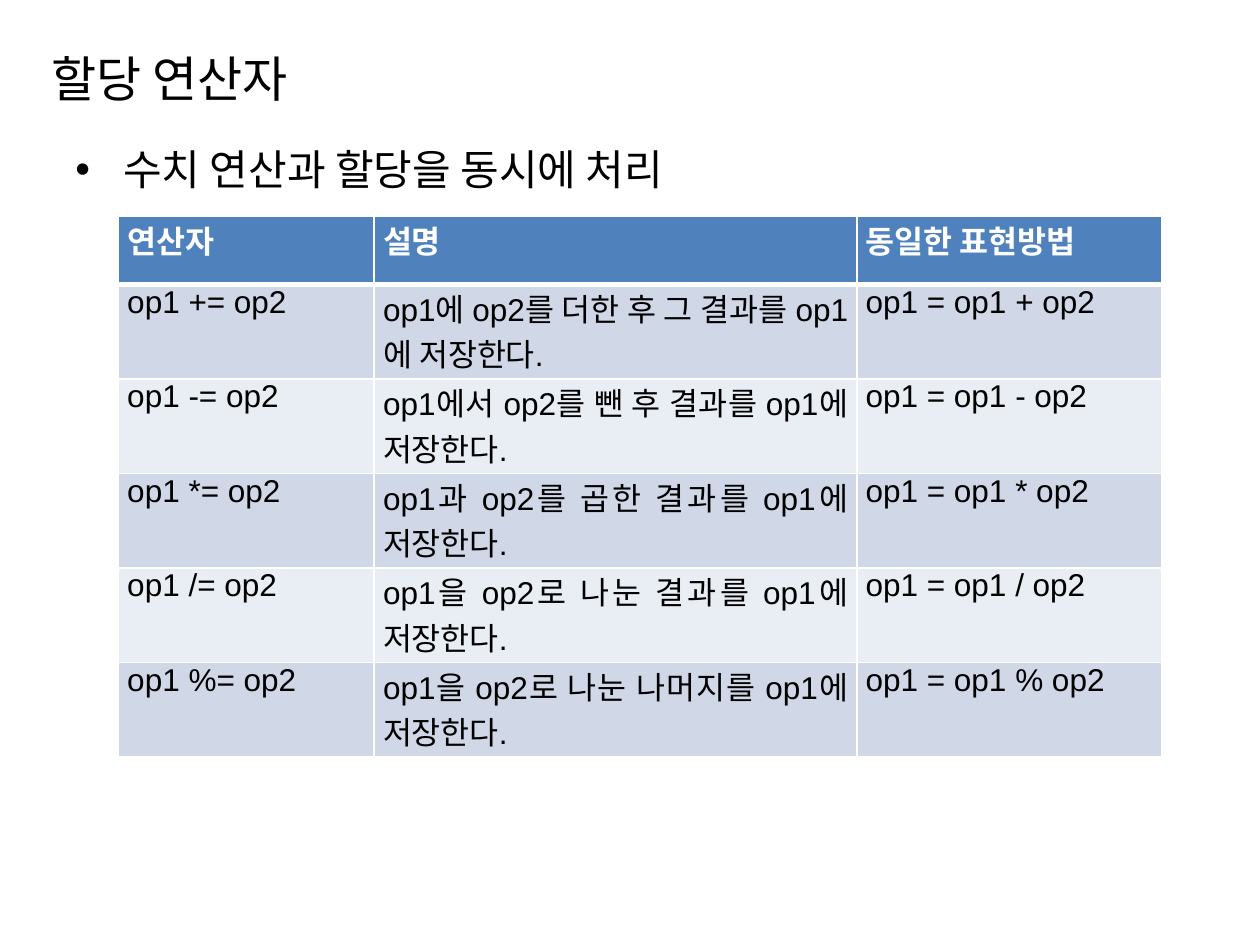
import pptx
import pptx.dml.color
import pptx.enum.text
import pptx.oxml
import pptx.oxml.ns
import pptx.util
from dataclasses import dataclass

Inches = pptx.util.Inches
Pt = pptx.util.Pt
ALIGN = pptx.enum.text.PP_ALIGN
ANCHOR = pptx.enum.text.MSO_ANCHOR


@dataclass(frozen=True)
class Theme:
    ink: str = "000000"
    white: str = "FFFFFF"
    header: str = "4F81BD"
    bands: tuple = ("D0D8E8", "E9EDF4")
    latin: str = "Arial"
    korean: str = "Noto Sans CJK KR"
    title: int = 28
    body: int = 24
    table: int = 18


def rgb(value):
    return pptx.dml.color.RGBColor.from_string(value)


def add_xml(parent, xml, index=None):
    tag, rest = xml.split(" ", 1)
    el = pptx.oxml.parse_xml(f"<a:{tag} {pptx.oxml.ns.nsdecls('a')} {rest}")
    parent.insert(len(parent) if index is None else index, el)


def apply(obj, values):
    for name, value in values.items():
        setattr(obj, name, value)


class SlideBuilder:
    def __init__(self, prs, theme):
        self.theme = theme
        self.s = prs.slides.add_slide(prs.slide_layouts[6])

    def run(self, p, text, size, color, latin, bold=False):
        r = p.add_run()
        r.text = text
        apply(r.font, {"size": Pt(size), "bold": bold, "name": latin})
        r.font.color.rgb = rgb(color)
        add_xml(r._r.get_or_add_rPr(), f'ea typeface="{self.theme.korean}"/>')

    def text(self, box, text, size, anchor, bullet=False):
        sp = self.s.shapes.add_textbox(*map(Inches, box))
        tf = sp.text_frame
        apply(tf, {"word_wrap": True, "vertical_anchor": anchor})
        p = tf.paragraphs[0]
        if bullet:
            pPr = p._p.get_or_add_pPr()
            pPr.set("marL", str(Inches(0.38)))
            pPr.set("indent", str(-Inches(0.38)))
            add_xml(pPr, f'buFont typeface="{self.theme.latin}"/>')
            add_xml(pPr, 'buChar char="•"/>')
        self.run(p, text, size, self.theme.ink, self.theme.korean)

    def borders(self, cell, bottom):
        tcPr = cell._tc.get_or_add_tcPr()
        widths = {"lnL": 1, "lnR": 1, "lnT": 1, "lnB": bottom}
        for i, (side, width) in enumerate(widths.items()):
            add_xml(tcPr, f'{side} w="{Pt(width)}"><a:solidFill><a:srgbClr '
                          f'val="{self.theme.white}"/></a:solidFill></a:{side}>', i)

    def cell(self, cell, text, fill, color, header):
        apply(cell, {"margin_left": Inches(0.07), "margin_right": Inches(0.07),
                     "margin_top": 0, "margin_bottom": 0})
        cell.fill.solid()
        cell.fill.fore_color.rgb = rgb(fill)
        self.borders(cell, 3 if header else 1)
        p = cell.text_frame.paragraphs[0]
        p.alignment = ALIGN.JUSTIFY
        self.run(p, text, self.theme.table, color, self.theme.latin, header)

    def table(self, left, top, widths, heights, rows):
        t = self.theme
        box = map(Inches, (left, top, sum(widths), sum(heights)))
        table = self.s.shapes.add_table(len(rows), len(widths), *box).table
        for col, width in zip(table.columns, widths):
            col.width = Inches(width)
        for i, (row, height, values) in enumerate(zip(table.rows, heights, rows)):
            row.height = Inches(height)
            header = i == 0
            fill = t.header if header else t.bands[(i - 1) % 2]
            color = t.white if header else t.ink
            for cell, value in zip(row.cells, values):
                self.cell(cell, value, fill, color, header)


def main():
    prs = pptx.Presentation()
    apply(prs, {"slide_width": Inches(10), "slide_height": Inches(7.5)})
    theme = Theme()
    slide = SlideBuilder(prs, theme)
    slide.text((0.31, 0.3, 9.45, 0.64), "할당 연산자", theme.title, ANCHOR.MIDDLE)
    slide.text((0.5, 1.09, 9, 5.61), "수치 연산과 할당을 동시에 처리",
               theme.body, ANCHOR.TOP, bullet=True)
    operators = [
        ("+", "op1에 op2를 더한 후 그 결과를 op1에 저장한다."),
        ("-", "op1에서 op2를 뺀 후 결과를 op1에 저장한다."),
        ("*", "op1과 op2를 곱한 결과를 op1에 저장한다."),
        ("/", "op1을 op2로 나눈 결과를 op1에 저장한다."),
        ("%", "op1을 op2로 나눈 나머지를 op1에 저장한다."),
    ]
    rows = [("연산자", "설명", "동일한 표현방법")]
    rows += [(f"op1 {op}= op2", meaning, f"op1 = op1 {op} op2")
             for op, meaning in operators]
    slide.table(0.94, 1.72, [2.03, 3.83, 2.42],
                [0.54] + [0.75] * len(operators), rows)
    prs.save("out.pptx")


if __name__ == "__main__":
    main()
